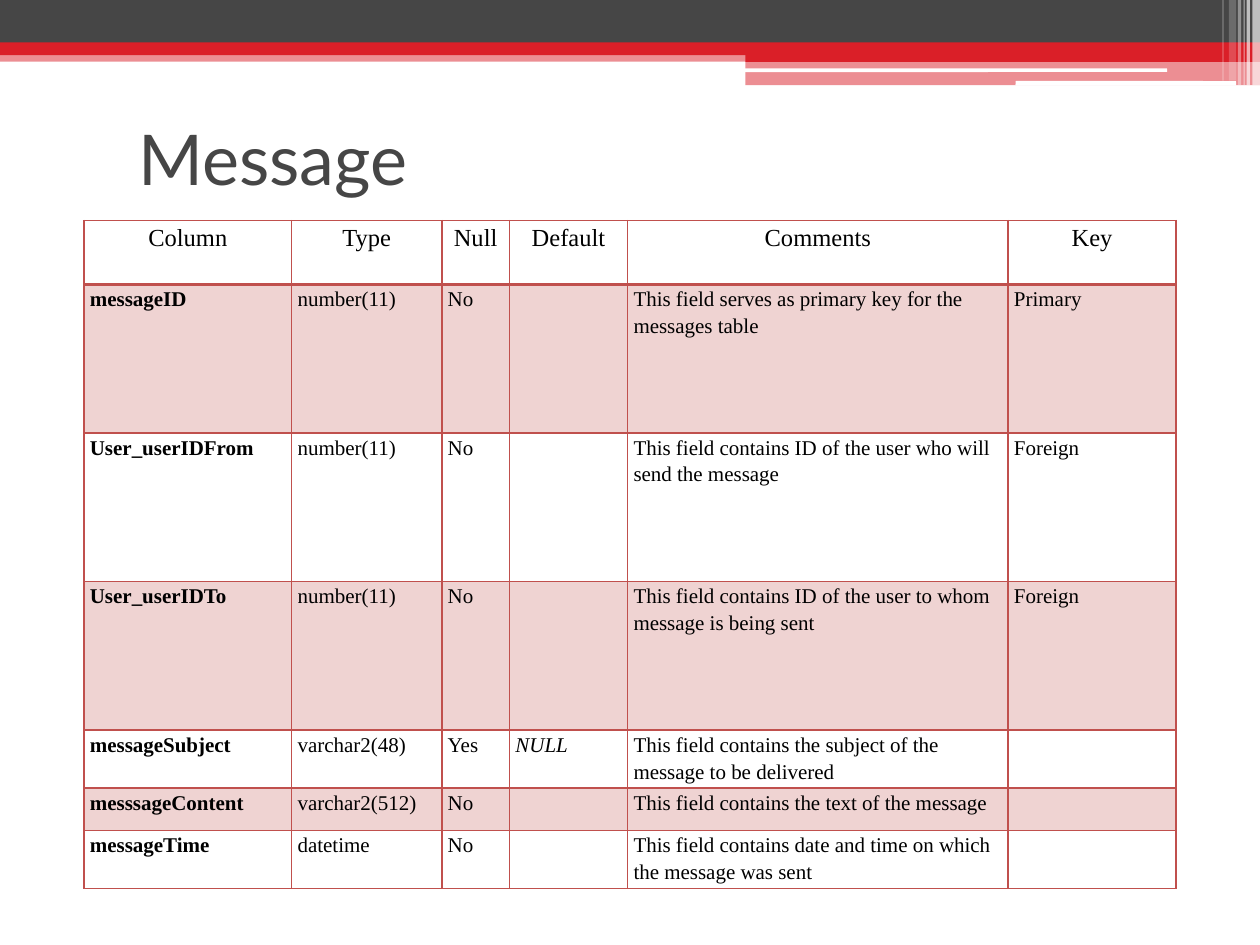
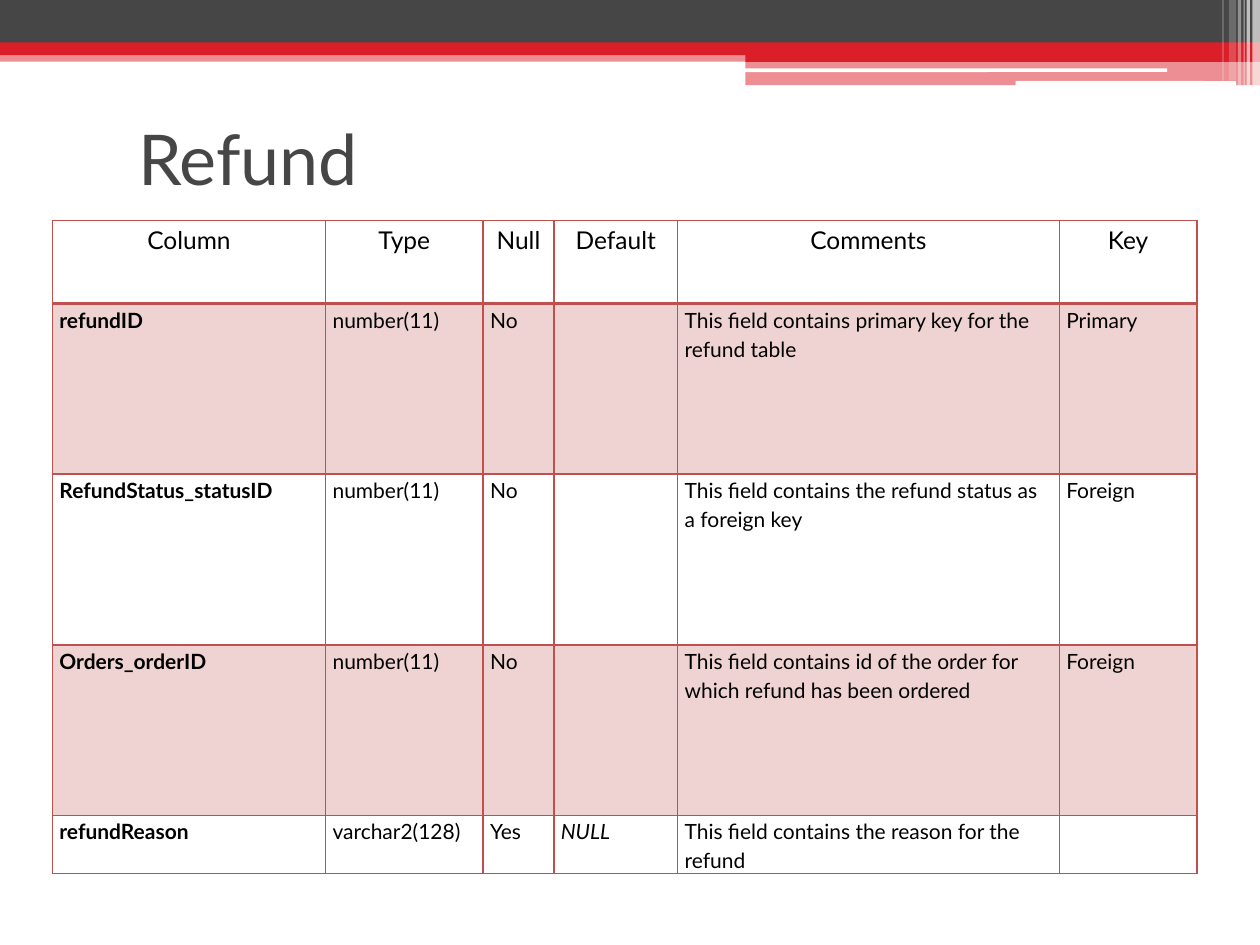
"""Build two slides that describe database tables."""
import pptx
import pptx.dml.color
import pptx.enum.shapes
import pptx.enum.text
import pptx.oxml.ns
import pptx.util
from lxml import etree

Pt = pptx.util.Pt
qn = pptx.oxml.ns.qn
RECT = pptx.enum.shapes.MSO_SHAPE.RECTANGLE
ROUND = pptx.enum.shapes.MSO_SHAPE.ROUNDED_RECTANGLE
CENTER = pptx.enum.text.PP_ALIGN.CENTER
LEFT = pptx.enum.text.PP_ALIGN.LEFT

DARK, RED, WHITE, BLACK = "464646", "DA1F28", "FFFFFF", "000000"
ROSE, EDGE = "EFD3D2", "C0504D"
TOP = 126
HEAD = ("Column", "Type", "Null", "Default", "Comments", "Key")

BANDS = [
    (RECT, 0, 28.8, 720, 6.5, RED, 50),
    (RECT, 0, 0, 720, 24.5, DARK, 100),
    (RECT, 0, 24.3, 720, 7.2, RED, 100),
    (RECT, 426, 28, 294, 7.4, RED, 100),
    (RECT, 426, 35.4, 294, 13.3, RED, 50),
    (ROUND, 425.5, 39.1, 241.5, 2.1, WHITE, 100),
    (ROUND, 580.3, 46.3, 126, 2.7, WHITE, 100),
]
STRIPES = [
    (715.7, 4.3, 48.8, 65), (712.3, 2, 48.8, 65), (710.6, 0.7, 48.8, 60),
    (707.3, 2, 48.8, 40), (702.2, 4.2, 46.1, 20), (698.5, 0.7, 46.1, 30),
]

MESSAGE = [
    ("messageID", "number(11)", "No", "",
     "This field serves as primary key for the messages table", "Primary"),
    ("User_userIDFrom", "number(11)", "No", "",
     "This field contains ID of the user who will send the message", "Foreign"),
    ("User_userIDTo", "number(11)", "No", "",
     "This field contains ID of the user to whom message is being sent", "Foreign"),
    ("messageSubject", "varchar2(48)", "Yes", "NULL",
     "This field contains the subject of the message to be delivered", ""),
    ("messsageContent", "varchar2(512)", "No", "",
     "This field contains the text of the message", ""),
    ("messageTime", "datetime", "No", "",
     "This field contains date and time on which the message was sent", ""),
]
REFUND = [
    ("refundID", "number(11)", "No", "",
     "This field contains primary key for the refund table", "Primary"),
    ("RefundStatus_statusID", "number(11)", "No", "",
     "This field contains the refund status as a foreign key", "Foreign"),
    ("Orders_orderID", "number(11)", "No", "",
     "This field contains id of the order for which refund has been ordered", "Foreign"),
    ("refundReason", "varchar2(128)", "Yes", "NULL",
     "This field contains the reason for the refund", ""),
]


def color(code):
    """Turn a hex string into a colour."""
    return pptx.dml.color.RGBColor.from_string(code)


def paint(fill, code):
    """Fill with one solid colour."""
    fill.solid()
    fill.fore_color.rgb = color(code)


def style(para, face, size, code, bold=False, slant=False):
    """Set the font of a paragraph."""
    font = para.font
    font.name, font.size = face, Pt(size)
    font.bold, font.italic = bold, slant
    font.color.rgb = color(code)


def band(slide, kind, left, top, width, height, code, alpha):
    """Draw a plain bar, seen through when alpha is below 100."""
    bar = slide.shapes.add_shape(kind, Pt(left), Pt(top), Pt(width), Pt(height))
    bar.shadow.inherit = False
    bar.line.fill.background()
    paint(bar.fill, code)
    if alpha < 100:
        tint = bar.element.spPr.find(".//" + qn("a:srgbClr"))
        etree.SubElement(tint, qn("a:alpha"), val=str(alpha * 1000))


def title(slide, text):
    """Write the slide title."""
    frame = slide.shapes.add_textbox(Pt(72), Pt(48.2), Pt(648), Pt(84.2)).text_frame
    frame.word_wrap = True
    frame.vertical_anchor = pptx.enum.text.MSO_ANCHOR.MIDDLE
    frame.text = text
    style(frame.paragraphs[0], "Lato", 40, DARK)


def border(cell, side, width):
    """Rule one side of a cell."""
    props = cell._tc.get_or_add_tcPr()
    line = etree.SubElement(props, qn("a:ln" + side), w=str(Pt(width)))
    fill = etree.SubElement(line, qn("a:solidFill"))
    etree.SubElement(fill, qn("a:srgbClr"), val=EDGE)


def write(cell, text, row, col, face, inset):
    """Fill in and dress one cell by its place in the grid."""
    cell.margin_left = cell.margin_right = Pt(inset)
    cell.margin_top = cell.margin_bottom = 0
    cell.text = text
    para = cell.text_frame.paragraphs[0]
    para.alignment = LEFT if row else CENTER
    para.line_spacing = 1.15
    style(para, face, 12 if row else 14, BLACK,
          bold=row > 0 and col == 0, slant=row > 0 and col == 3)
    border(cell, "L", 1)
    border(cell, "R", 1)
    border(cell, "T", 2.25 if row == 1 else 1)
    border(cell, "B", 1 if row else 2.25)
    if row % 2:
        paint(cell.fill, ROSE)
    else:
        cell.fill.background()


def grid(slide, left, wides, highs, rows, face, inset):
    """Add a table of fields below the title."""
    data = [HEAD] + rows
    table = slide.shapes.add_table(
        len(data), len(HEAD), Pt(left), Pt(TOP), Pt(sum(wides)), Pt(sum(highs))).table
    table.first_row = table.horz_banding = False
    for part, wide in zip(table.columns, wides):
        part.width = Pt(wide)
    for part, high in zip(table.rows, highs):
        part.height = Pt(high)
    for row, texts in enumerate(data):
        for col, text in enumerate(texts):
            write(table.cell(row, col), text, row, col, face, inset)


def page(deck, text):
    """Add a slide with the shared bands and a title."""
    slide = deck.slides.add_slide(deck.slide_layouts[6])
    for item in BANDS:
        band(slide, *item)
    for left, width, height, alpha in STRIPES:
        band(slide, RECT, left, 0, width, height, WHITE, alpha)
    title(slide, text)
    return slide


def main():
    """Build and save the deck."""
    deck = pptx.Presentation()
    deck.slide_width, deck.slide_height = Pt(720), Pt(540)
    grid(page(deck, "Message"), 48, (118.7, 85.8, 38.7, 67.5, 217.4, 96),
         [36.5] + [84.9] * 3 + [24.3] * 3, MESSAGE, "Times New Roman", 3.4)
    grid(page(deck, "Refund"), 30, (156.1, 90, 40.4, 70.8, 218.1, 78.6),
         [47.5] + [97.5] * 3 + [32], REFUND, "Lato", 4)
    deck.save("out.pptx")


if __name__ == "__main__":
    main()
